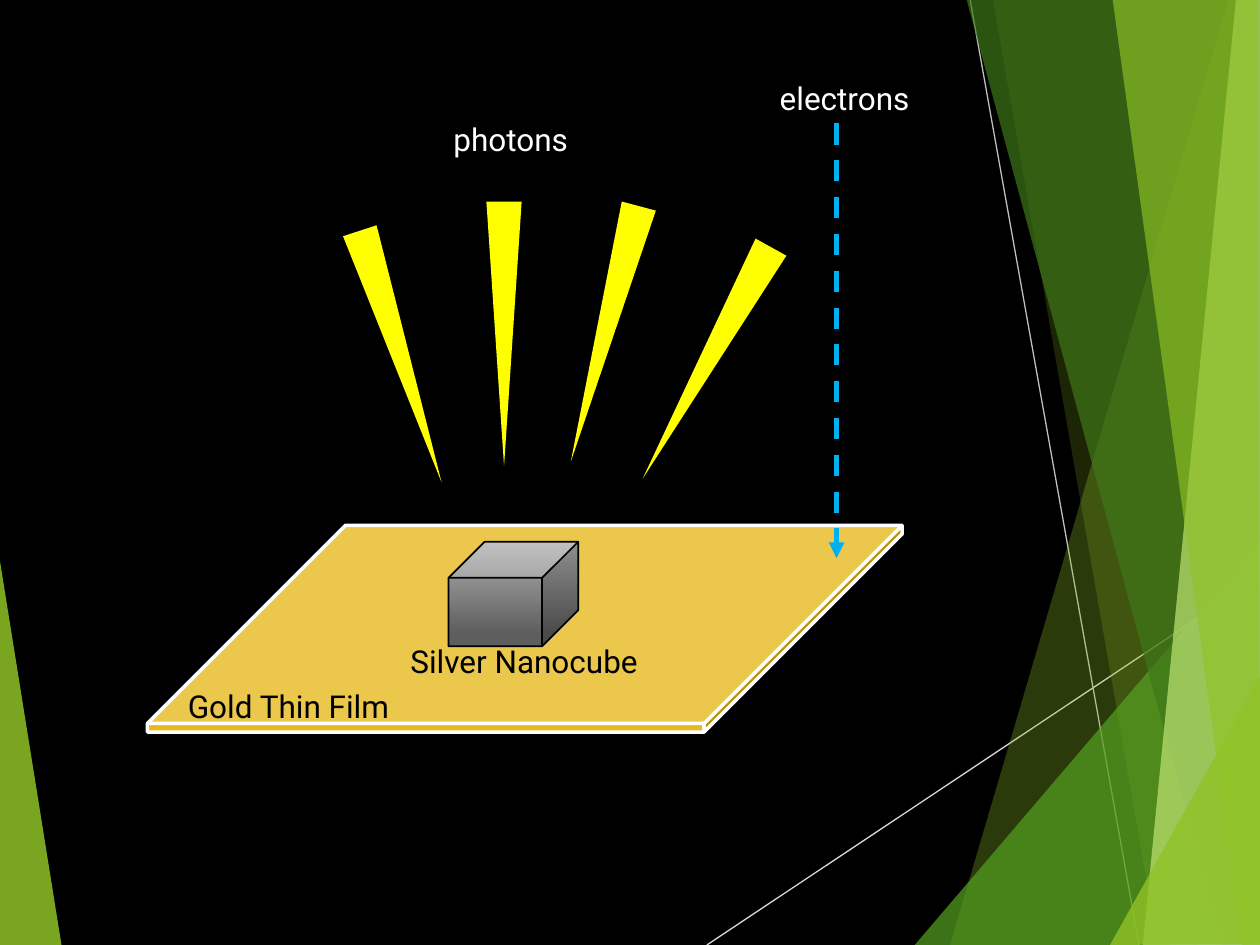
from lxml.etree import SubElement
from pptx import Presentation
from pptx.dml.color import RGBColor
from pptx.enum.dml import MSO_LINE_DASH_STYLE as Dash
from pptx.enum.shapes import MSO_CONNECTOR as Connector, MSO_SHAPE as Shape
from pptx.enum.text import MSO_AUTO_SIZE as AutoSize, PP_ALIGN as Align
from pptx.oxml.ns import qn
from pptx.util import Inches, Pt

BLACK = RGBColor(0x00, 0x00, 0x00)
WHITE = RGBColor(0xFF, 0xFF, 0xFF)
PALE_GRAY = RGBColor(0xD9, 0xD9, 0xD9)
MID_GRAY = RGBColor(0xBF, 0xBF, 0xBF)
SILVER = RGBColor(0xB2, 0xB2, 0xB2)
DARK_SILVER = RGBColor(0x5E, 0x5E, 0x5E)
GOLD = RGBColor(0xE6, 0xB9, 0x1E)
YELLOW = RGBColor(0xFF, 0xFF, 0x00)
BLUE = RGBColor(0x00, 0xB0, 0xF0)
LIME = RGBColor(0x90, 0xC2, 0x26)
GREEN = RGBColor(0x54, 0xA0, 0x21)
FOREST = RGBColor(0x3F, 0x78, 0x19)
PALE_LIME = RGBColor(0xC0, 0xE4, 0x74)

LEFT_FACET = (LIME, 85, [(-0.01, 4.39), (0.49, 7.51), (-0.01, 7.5)])
RIGHT_FACETS = [
    (LIME, 30, [(9.75, 0), (7.54, 7.5), (10.02, 7.51), (10.01, 0.01)]),
    (LIME, 20, [(7.88, -0.01), (9.19, 7.5), (10.01, 7.5), (10.01, -0.01)]),
    (GREEN, 72, [(7.26, 7.5), (10, 4.29), (10.01, 7.5)]),
    (FOREST, 70, [(7.67, -0.01), (9.7, 7.5), (10.01, 7.49), (10.01, -0.01)]),
    (PALE_LIME, 70, [(9.81, -0.01), (9.07, 7.5), (10.01, 7.5), (10, -0.01)]),
    (LIME, 65, [(8.83, -0.01), (9.86, 7.5), (10, 7.5), (9.98, -0.01)]),
    (LIME, 80, [(8.81, 7.5), (10.01, 5.35), (10.01, 7.49)]),
]
PHOTON_BEAMS = [(3.04, 1.78, 162), (3.86, 1.6, 180), (4.66, 1.6, 194.9), (5.47, 1.83, 209)]
LABELS = [
    ("electrons", 6.09, 0.58, 1.57, WHITE, Align.LEFT),
    ("photons", 3.5, 0.9, 1.57, WHITE, Align.LEFT),
    ("Gold Thin Film", 0.64, 5.4, 3.3, BLACK, Align.CENTER),
    ("Silver Nanocube", 2.51, 5.05, 3.3, BLACK, Align.CENTER),
]


class SlideBuilder:
    """Draws styled elements on the current slide."""

    font_format = {"name": "Roboto", "size": Pt(18)}
    frame_format = {"word_wrap": True, "auto_size": AutoSize.SHAPE_TO_FIT_TEXT}

    def __init__(self, slide):
        self.slide = slide

    def background(self, color):
        fill = self.slide.background.fill
        fill.solid()
        fill.fore_color.rgb = color

    def facet(self, color, opacity, points):
        start, *rest = [(Inches(x), Inches(y)) for x, y in points]
        builder = self.slide.shapes.build_freeform(*start)
        builder.add_line_segments(rest, close=True)
        shape = builder.convert_to_shape()
        shape.shadow.inherit = False
        shape.fill.solid()
        shape.fill.fore_color.rgb = color
        shape.line.fill.background()
        color_element = shape.element.spPr.find(f"{qn('a:solidFill')}/{qn('a:srgbClr')}")
        SubElement(color_element, qn("a:alpha"), val=str(opacity * 1000))

    def line(self, start, end, color, width, dash=None, arrow=False):
        ends = [Inches(value) for value in (*start, *end)]
        connector = self.slide.shapes.add_connector(Connector.STRAIGHT, *ends)
        connector.line.color.rgb = color
        connector.line.width = Pt(width)
        connector.line.dash_style = dash
        properties = connector.element.spPr
        if arrow:
            SubElement(properties.find(qn("a:ln")), qn("a:tailEnd"), type="triangle")
        SubElement(properties, qn("a:effectLst"))

    def solid(self, kind, box, color, rotation=0):
        shape = self.slide.shapes.add_shape(kind, *map(Inches, box))
        shape.shadow.inherit = False
        shape.rotation = rotation
        shape.fill.solid()
        shape.fill.fore_color.rgb = color
        shape.line.fill.background()
        return shape

    def cube(self, box, depth, color, line_color, line_width, end_color=None):
        shape = self.solid(Shape.CUBE, box, color)
        shape.adjustments[0] = depth
        shape.line.color.rgb = line_color
        shape.line.width = Pt(line_width)
        if end_color is not None:
            shape.fill.gradient()
            shape.fill.gradient_angle = 270
            stops = zip(shape.fill.gradient_stops, (color, end_color), (0, 0.88))
            for stop, stop_color, position in stops:
                stop.color.rgb = stop_color
                stop.position = position

    def label(self, text, left, top, width, color, alignment):
        box = self.slide.shapes.add_textbox(*map(Inches, (left, top, width, 0.4)))
        frame = box.text_frame
        for name, value in self.frame_format.items():
            setattr(frame, name, value)
        paragraph = frame.paragraphs[0]
        paragraph.alignment = alignment
        run = paragraph.add_run()
        run.text = text
        for name, value in self.font_format.items():
            setattr(run.font, name, value)
        run.font.color.rgb = color


def main():
    presentation = Presentation()
    presentation.slide_width = Inches(10)
    presentation.slide_height = Inches(7.5)
    builder = SlideBuilder(presentation.slides.add_slide(presentation.slide_layouts[6]))
    builder.background(BLACK)

    builder.facet(*LEFT_FACET)
    builder.line((5.61, 7.5), (10.01, 4.57), PALE_GRAY, 0.75)
    builder.line((7.7, 0), (9.04, 7.5), MID_GRAY, 0.75)
    for facet in RIGHT_FACETS:
        builder.facet(*facet)

    builder.cube((1.17, 4.17, 5.99, 1.64), 0.958, GOLD, WHITE, 2)
    builder.cube((3.56, 4.3, 1.03, 0.83), 0.345, SILVER, BLACK, 1, DARK_SILVER)
    builder.line((6.64, 0.98), (6.64, 4.43), BLUE, 3, Dash.DASH, arrow=True)
    for left, top, rotation in PHOTON_BEAMS:
        builder.solid(Shape.ISOSCELES_TRIANGLE, (left, top, 0.28, 2.1), YELLOW, rotation)
    for label in LABELS:
        builder.label(*label)

    presentation.save("out.pptx")


if __name__ == "__main__":
    main()
